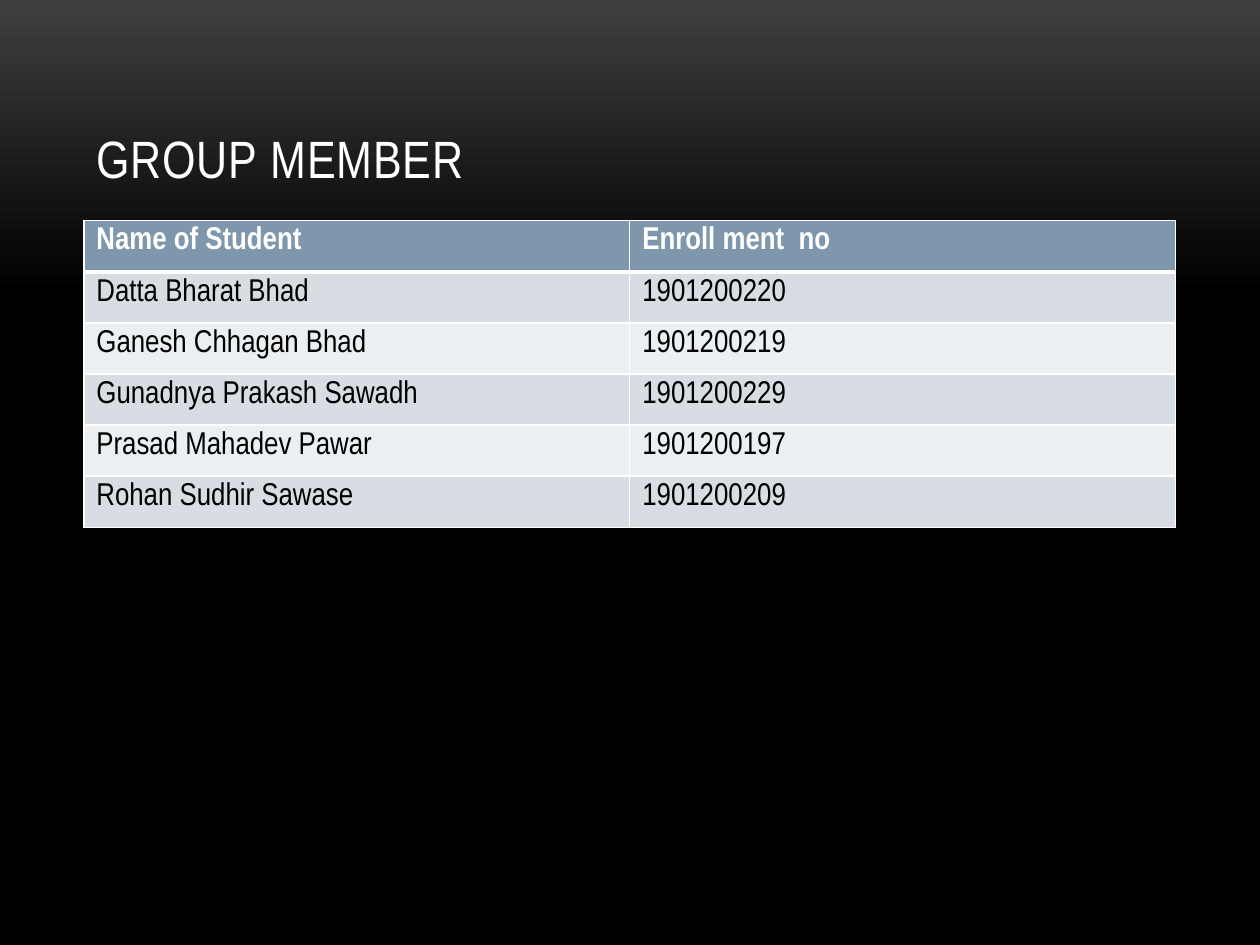
from lxml import etree
from pptx import Presentation
from pptx import util as u
from pptx.dml.color import RGBColor
from pptx.enum import text
from pptx.oxml.ns import qn

WHITE = RGBColor(0xFF, 0xFF, 0xFF)
BLACK = RGBColor(0x00, 0x00, 0x00)
CHARCOAL = RGBColor(0x3F, 0x3F, 0x3F)
HEADER_BLUE = RGBColor(0x7E, 0x97, 0xAD)
BAND_DARK = RGBColor(0xD8, 0xDD, 0xE3)
BAND_LIGHT = RGBColor(0xEC, 0xEF, 0xF1)

LEFT, WIDTH = 1.69, 22.01
ROW_HEIGHT = 1.03

MEMBERS = [
    ("Name of Student", "Enroll ment  no"),
    ("Datta Bharat Bhad", "1901200220"),
    ("Ganesh Chhagan Bhad", "1901200219"),
    ("Gunadnya Prakash Sawadh", "1901200229"),
    ("Prasad Mahadev Pawar", "1901200197"),
    ("Rohan Sudhir Sawase", "1901200209"),
]


class SlideBuilder:
    font = "Arial Narrow"

    def __init__(self, page):
        self.page = page

    def background(self, top, bottom, end):
        """Fade from top to bottom colour, reaching the latter at end (0 to 1)."""
        fill = self.page.background.fill
        fill.gradient()
        fill.gradient_angle = 270
        for stop, color, position in zip(fill.gradient_stops, (top, bottom), (0, end)):
            stop.color.rgb = color
            stop.position = position

    def styled_text(self, frame, words, size, color, bold=False):
        frame.text = words
        span = frame.paragraphs[0].runs[0]
        span.font.name = self.font
        span.font.size = u.Pt(size)
        span.font.color.rgb = color
        span.font.bold = bold
        return span

    def title(self, words, left, top, width, height):
        box = self.page.shapes.add_textbox(
            u.Cm(left), u.Cm(top), u.Cm(width), u.Cm(height))
        frame = box.text_frame
        frame.word_wrap = True
        frame.vertical_anchor = text.MSO_ANCHOR.BOTTOM
        span = self.styled_text(frame, words, 30, WHITE)
        span.font._element.set("spc", "50")

    def borders(self, cell, **widths):
        """Draw white edges; widths are points by edge, in L, R, T, B order."""
        properties = cell._tc.get_or_add_tcPr()
        for index, (edge, width) in enumerate(widths.items()):
            line = etree.Element(qn(f"a:ln{edge}"), w=str(u.Pt(width)))
            solid = etree.SubElement(line, qn("a:solidFill"))
            etree.SubElement(solid, qn("a:srgbClr"), val=str(WHITE))
            properties.insert(index, line)

    def table(self, rows, left, top, width, row_height):
        table = self.page.shapes.add_table(
            len(rows), len(rows[0]), u.Cm(left), u.Cm(top),
            u.Cm(width), u.Cm(row_height * len(rows))).table
        for row, values in enumerate(rows):
            header = row == 0
            fill = HEADER_BLUE if header else (BAND_LIGHT, BAND_DARK)[row % 2]
            for column, value in enumerate(values):
                cell = table.cell(row, column)
                cell.fill.solid()
                cell.fill.fore_color.rgb = fill
                self.styled_text(cell.text_frame, value, 18,
                                 WHITE if header else BLACK, header)
                self.borders(cell, L=1, R=1, T=3 if row == 1 else 1,
                             B=3 if header else 1)


def main():
    deck = Presentation()
    deck.slide_width, deck.slide_height = u.Cm(25.4), u.Cm(19.05)
    builder = SlideBuilder(deck.slides.add_slide(deck.slide_layouts[6]))
    builder.background(CHARCOAL, BLACK, 0.31)
    builder.title("GROUP MEMBER", LEFT, 0.76, WIDTH, 3.18)
    builder.table(MEMBERS, LEFT, 4.45, WIDTH, ROW_HEIGHT)
    deck.save("out.pptx")


if __name__ == "__main__":
    main()
